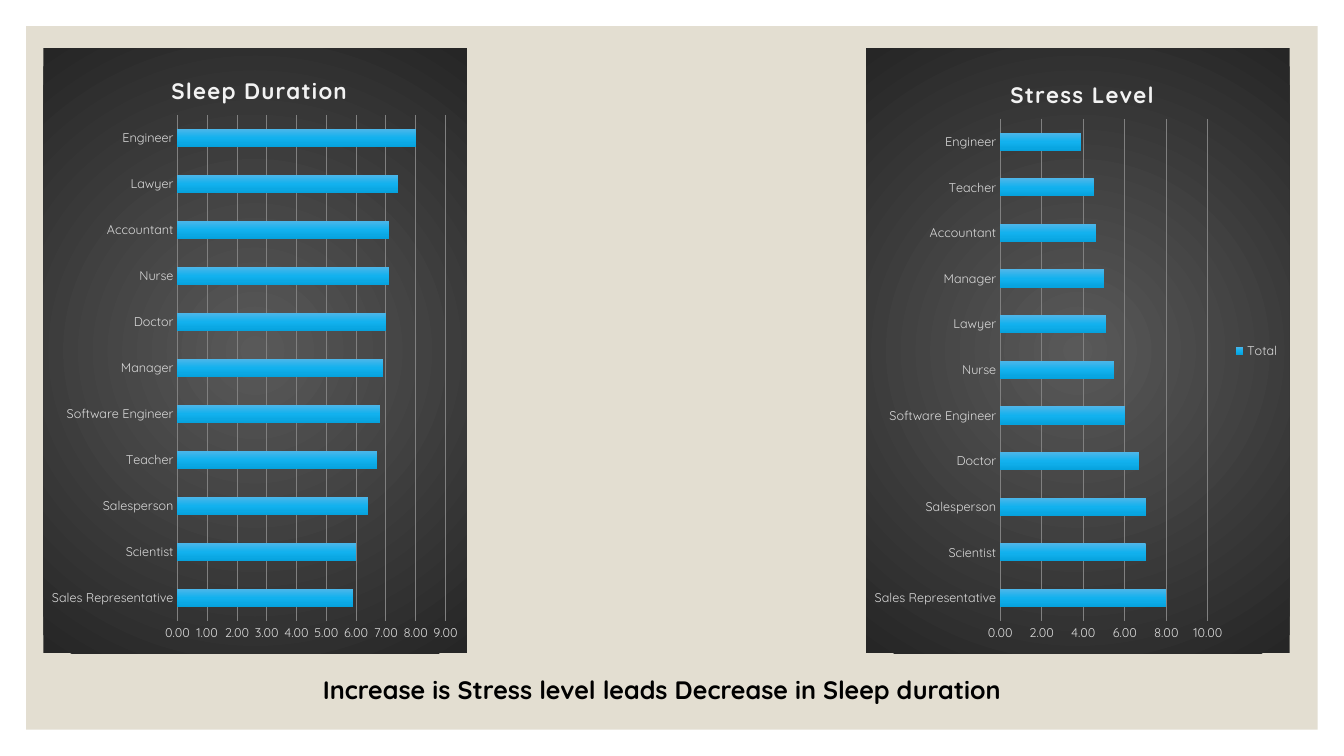
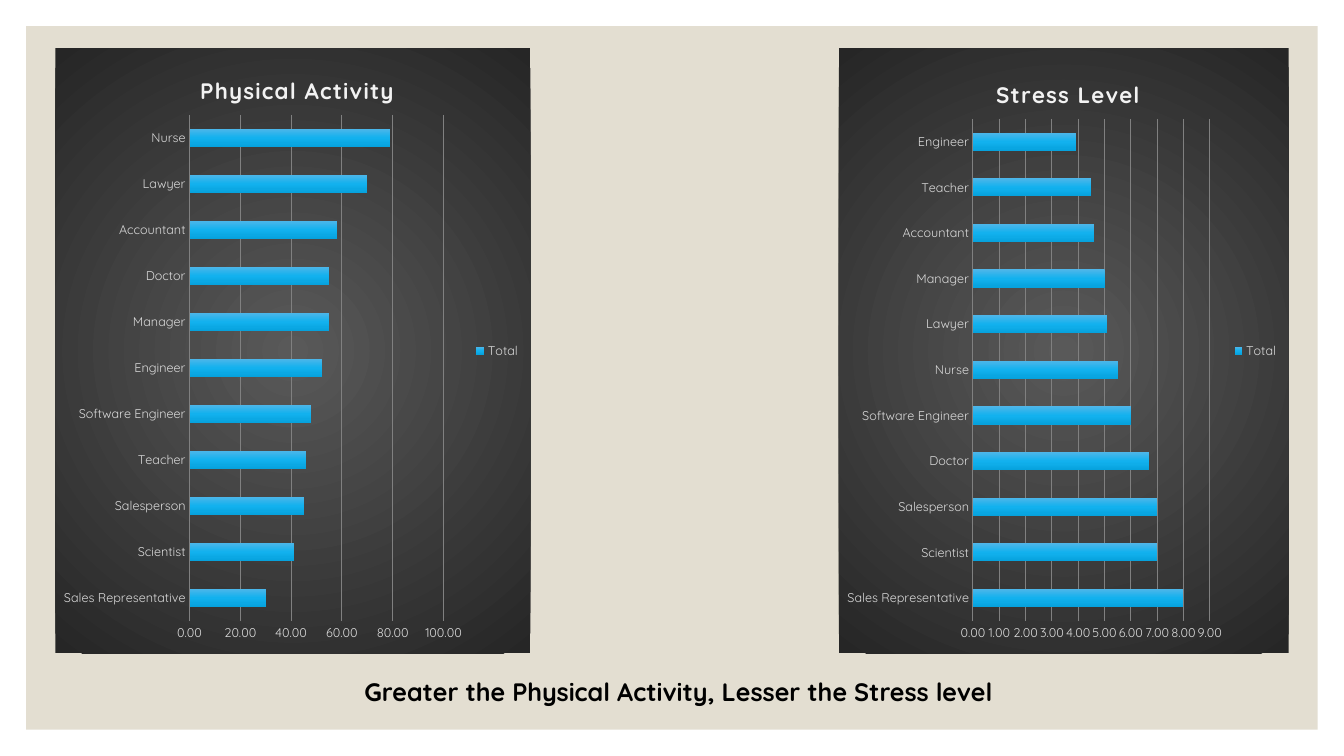
"""Build two slides that compare sleep, activity and stress by occupation."""
from pptx import Presentation
from pptx.chart.data import CategoryChartData
from pptx.dml.color import RGBColor
from pptx.enum.chart import XL_CHART_TYPE as ChartType, XL_LEGEND_POSITION as LegendPosition
from pptx.enum.chart import XL_TICK_MARK as TickMark
from pptx.enum.shapes import MSO_SHAPE as Preset
from pptx.enum.text import MSO_ANCHOR as Anchor, MSO_AUTO_SIZE as AutoSize, PP_ALIGN as Align
from pptx.oxml import parse_xml
from pptx.oxml.ns import nsdecls, qn
from pptx.util import Inches, Pt

FONT = "Quicksand"
BLACK = RGBColor(0x00, 0x00, 0x00)
BEIGE = RGBColor(0xE3, 0xDE, 0xD1)
OFF_WHITE = RGBColor(0xF2, 0xF2, 0xF2)
LIGHT_GRAY = RGBColor(0xD9, 0xD9, 0xD9)
GRID_GRAY = RGBColor(0x80, 0x80, 0x80)
PANEL_STOPS = [(0, RGBColor(0x59, 0x59, 0x59)), (100, RGBColor(0x26, 0x26, 0x26))]
BAR_STOPS = [(0, RGBColor(0x4F, 0xB6, 0xE9)), (50, RGBColor(0x12, 0xB1, 0xEE)),
             (100, RGBColor(0x06, 0xA2, 0xDD))]
RADIAL = ('<a:path path="circle"><a:fillToRect l="50000" t="50000" r="50000" b="50000"/>'
          '</a:path>')
DOWNWARD = '<a:lin ang="5400000" scaled="0"/>'

SLIDE_WIDTH, SLIDE_HEIGHT = 13.33, 7.5
MARGIN = 0.26
CHART_TOP, CHART_HEIGHT = 0.48, 6
PLOT_LEFT, PLOT_BOTTOM = 1.33, 5.68
TITLE_RISE = 0.44

SLEEP = {"Sales Representative": 5.9, "Scientist": 6, "Salesperson": 6.4, "Teacher": 6.7,
         "Software Engineer": 6.8, "Manager": 6.9, "Doctor": 7, "Nurse": 7.1,
         "Accountant": 7.1, "Lawyer": 7.4, "Engineer": 8}
STRESS = {"Sales Representative": 8, "Scientist": 7, "Salesperson": 7, "Doctor": 6.7,
          "Software Engineer": 6, "Nurse": 5.5, "Lawyer": 5.1, "Manager": 5,
          "Accountant": 4.6, "Teacher": 4.5, "Engineer": 3.9}
ACTIVITY = {"Sales Representative": 30, "Scientist": 41, "Salesperson": 45, "Teacher": 46,
            "Software Engineer": 48, "Engineer": 52, "Manager": 55, "Doctor": 55,
            "Accountant": 58, "Lawyer": 70, "Nurse": 79}

STRESS_CHART = dict(title="Stress Level", title_width=1.42, values=STRESS, plot_top=0.7)
SLIDES = [
    dict(caption="Increase is Stress level leads Decrease in Sleep duration",
         caption_box=(1.33, 6.64, 10.47, 0.4),
         charts=[
             dict(title="Sleep Duration", title_width=1.74, values=SLEEP, plot_top=0.66,
                  left=0.43, width=4.2, plot_width=2.66, maximum=9, step=1,
                  series="Series 1", legend=False),
             dict(STRESS_CHART, left=8.59, width=4.2, plot_width=2.06, maximum=10, step=2)]),
    dict(caption="Greater the Physical Activity, Lesser the Stress level",
         caption_box=(1.83, 6.66, 9.8, 0.4),
         charts=[
             dict(title="Physical Activity", title_width=1.92, values=ACTIVITY, plot_top=0.66,
                  left=0.55, width=4.71, plot_width=2.52, maximum=100, step=20),
             dict(STRESS_CHART, left=8.32, width=4.46, plot_width=2.35, maximum=9, step=1)]),
]


def format_font(font, size, color, bold=False):
    font.name, font.size, font.bold = FONT, Pt(size), bold
    font.color.rgb = color


def write_text(frame, text, size, color, bold=True, align=Align.CENTER):
    paragraph = frame.paragraphs[0]
    paragraph.alignment = align
    run = paragraph.add_run()
    run.text = text
    format_font(run.font, size, color, bold)


def gradient(stops, direction):
    stop_list = "".join(f'<a:gs pos="{position * 1000}"><a:srgbClr val="{color}"/></a:gs>'
                        for position, color in stops)
    return f'<a:gradFill {nsdecls("a")}><a:gsLst>{stop_list}</a:gsLst>{direction}</a:gradFill>'


def place_part(parent, index, target="", **shares):
    """Give a chart part a manual layout in shares of the chart's size."""
    for layout in parent.findall(qn("c:layout")):
        parent.remove(layout)
    inner = f'<c:layoutTarget val="{target}"/>' if target else ""
    modes = "".join(f'<c:{key}Mode val="edge"/>' for key in ("x", "y"))
    values = "".join(f'<c:{key} val="{value:.4f}"/>' for key, value in shares.items())
    parent.insert(index, parse_xml(f'<c:layout {nsdecls("c")}><c:manualLayout>{inner}{modes}'
                                   f'{values}</c:manualLayout></c:layout>'))


def add_bar_chart(slide, title, title_width, values, left, width, plot_top, plot_width,
                  maximum, step, series="Total", legend=True):
    data = CategoryChartData(number_format="0.00")
    data.categories = list(values)
    data.add_series(series, list(values.values()))
    chart = slide.shapes.add_chart(ChartType.BAR_CLUSTERED, Inches(left), Inches(CHART_TOP),
                                   Inches(width), Inches(CHART_HEIGHT), data).chart
    format_font(chart.font, 10, BLACK)
    chart.element.find(qn("c:chart")).addnext(parse_xml(
        f'<c:spPr {nsdecls("c", "a")}>{gradient(PANEL_STOPS, RADIAL)}'
        '<a:ln><a:noFill/></a:ln></c:spPr>'))

    chart.has_title = True
    write_text(chart.chart_title.text_frame, title, 16, OFF_WHITE)
    chart_title = chart.chart_title.element
    for properties in chart_title.iter(qn("a:rPr")):
        properties.set("spc", "100")
    place_part(chart_title, 1, x=(1 - title_width / width) / 2,
               y=(plot_top - TITLE_RISE) / CHART_HEIGHT)
    place_part(chart.element.find(".//" + qn("c:plotArea")), 0, "inner",
               x=PLOT_LEFT / width, y=plot_top / CHART_HEIGHT,
               w=plot_width / width, h=(PLOT_BOTTOM - plot_top) / CHART_HEIGHT)

    for axis in (chart.category_axis, chart.value_axis):
        axis.major_tick_mark = axis.minor_tick_mark = TickMark.NONE
        axis.format.line.fill.background()
        format_font(axis.tick_labels.font, 9, LIGHT_GRAY)
    value_axis = chart.value_axis
    value_axis.minimum_scale, value_axis.maximum_scale = 0, maximum
    value_axis.major_unit = step
    value_axis.tick_labels.number_format = "0.00"
    value_axis.tick_labels.number_format_is_linked = False
    grid_line = value_axis.major_gridlines.format.line
    grid_line.color.rgb, grid_line.width = GRID_GRAY, Pt(0.75)

    plot = chart.plots[0]
    plot.gap_width, plot.vary_by_categories = 150, False
    bar_format = plot.series[0].format
    bar_format.element.get_or_add_spPr().append(parse_xml(gradient(BAR_STOPS, DOWNWARD)))

    chart.has_legend = legend
    if legend:
        chart.legend.position = LegendPosition.RIGHT
        chart.legend.include_in_layout = False
        format_font(chart.legend.font, 9, LIGHT_GRAY)


def add_backdrop(slide):
    """Put the beige panel on the layout that all slides share."""
    panel = slide.shapes.add_shape(Preset.RECTANGLE, Inches(MARGIN), Inches(MARGIN),
                                   Inches(SLIDE_WIDTH - 2 * MARGIN),
                                   Inches(SLIDE_HEIGHT - 2 * MARGIN))
    panel.shadow.inherit = False
    panel.fill.solid()
    panel.fill.fore_color.rgb = BEIGE
    panel.line.fill.background()
    slide.slide_layout.shapes.element.insert(2, panel.element)


def add_caption(slide, text, box):
    caption = slide.shapes.title
    caption.left, caption.top, caption.width, caption.height = map(Inches, box)
    frame = caption.text_frame
    frame.word_wrap, frame.auto_size = True, AutoSize.NONE
    frame.vertical_anchor = Anchor.TOP
    write_text(frame, text, 18, BLACK)


def main():
    presentation = Presentation()
    presentation.slide_width = Inches(SLIDE_WIDTH)
    presentation.slide_height = Inches(SLIDE_HEIGHT)
    title_only = presentation.slide_layouts[5]
    for number, content in enumerate(SLIDES):
        slide = presentation.slides.add_slide(title_only)
        if number == 0:
            add_backdrop(slide)
        for chart in content["charts"]:
            add_bar_chart(slide, **chart)
        add_caption(slide, content["caption"], content["caption_box"])
    presentation.save("out.pptx")


if __name__ == "__main__":
    main()
